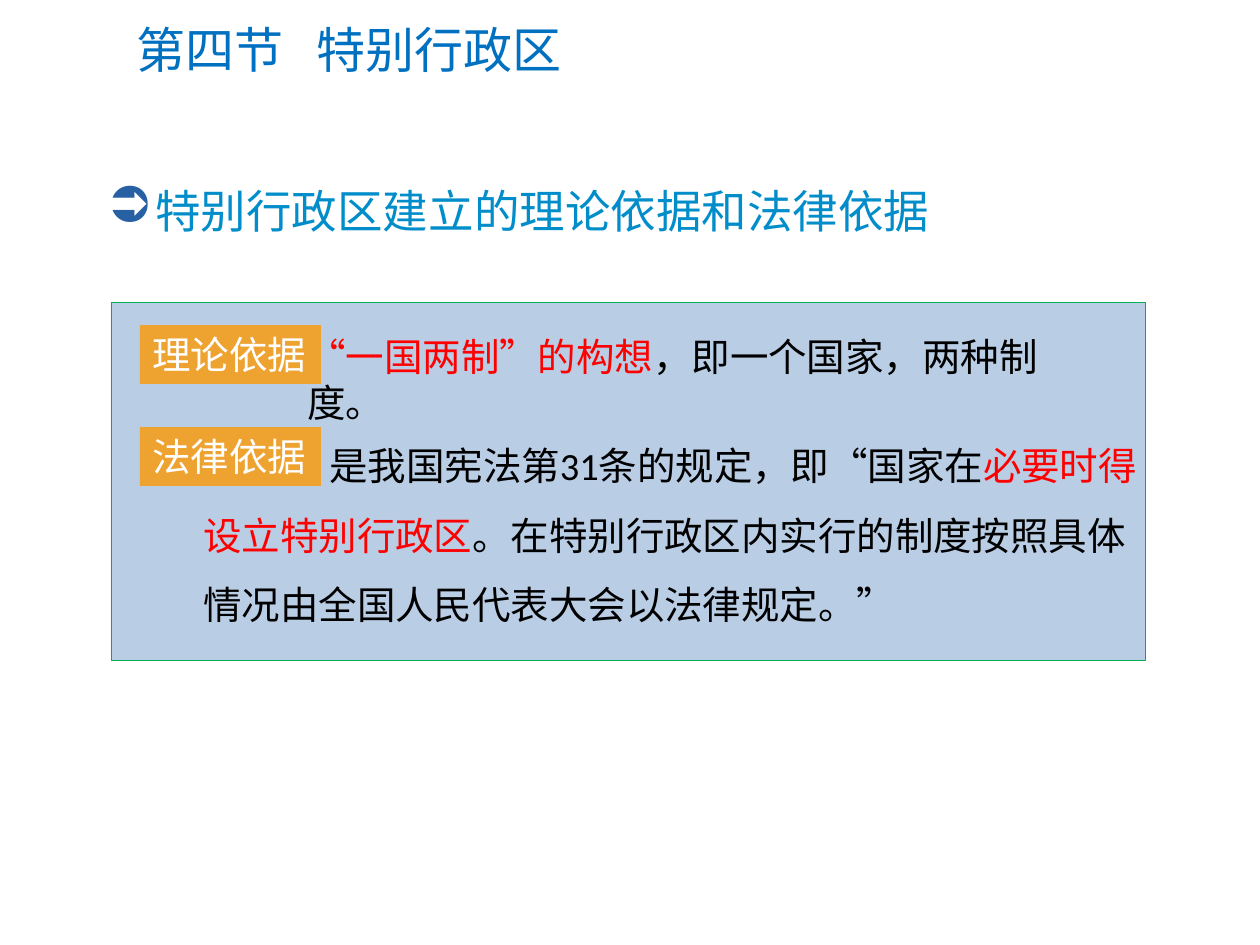
import pptx
import pptx.util
import pptx.dml.color
import pptx.enum.shapes
import pptx.enum.text
import pptx.oxml.ns
from lxml import etree

RGBColor = pptx.dml.color.RGBColor
TITLE_BLUE = RGBColor(0x00, 0x70, 0xC0)
HEADING_BLUE = RGBColor(0x00, 0x8D, 0xCA)
BULLET_BLUE = RGBColor(0x28, 0x60, 0xA4)
PANEL_BLUE = RGBColor(0xB9, 0xCD, 0xE5)
PANEL_GREEN = RGBColor(0x00, 0xB0, 0x50)
LABEL_ORANGE = RGBColor(0xEE, 0xA2, 0x30)
RED = RGBColor(0xFF, 0x00, 0x00)
BLACK = RGBColor(0x00, 0x00, 0x00)
WHITE = RGBColor(0xFF, 0xFF, 0xFF)

FONT = "Calibri"
PX_PER_INCH = 126
RECTANGLE = pptx.enum.shapes.MSO_SHAPE.RECTANGLE
LEFT = pptx.enum.text.PP_ALIGN.LEFT


def px(length):
    return pptx.util.Emu(round(length * 914400 / PX_PER_INCH))


def box_emu(box):
    return [px(length) for length in box]


def inside(box, left, top, width, height):
    """Box in EMU, placed relative to the corner of the outer box."""
    return box_emu((box[0] + left, box[1] + top, width, height))


def add_property(paragraph, tag, parent=None, **attributes):
    """Append a drawing element to the paragraph's properties."""
    if parent is None:
        parent = paragraph._p.get_or_add_pPr()
    return etree.SubElement(parent, pptx.oxml.ns.qn(tag), attributes)


def add_tab_stop(paragraph, position):
    tabs = add_property(paragraph, "a:tabLst")
    add_property(paragraph, "a:tab", tabs, pos=str(px(position)), algn="l")


def write_runs(paragraph, size, runs):
    paragraph.alignment = LEFT
    for text, color in runs:
        run = paragraph.add_run()
        run.text = text
        font_format = {"name": FONT, "size": pptx.util.Pt(size)}
        for attribute, value in font_format.items():
            setattr(run.font, attribute, value)
        run.font.color.rgb = color


def add_rectangle(shapes, box, fill):
    rectangle = shapes.add_shape(RECTANGLE, *box)
    rectangle.shadow.inherit = False
    rectangle.fill.solid()
    rectangle.fill.fore_color.rgb = fill
    rectangle.line.fill.background()
    return rectangle


def add_text(shapes, box, size, runs):
    frame = shapes.add_textbox(*box).text_frame
    frame.word_wrap = True
    paragraph = frame.paragraphs[0]
    write_runs(paragraph, size, runs)
    return paragraph


def add_label(shapes, box, text):
    label = add_rectangle(shapes, box, LABEL_ORANGE)
    frame = label.text_frame
    frame.word_wrap = False
    frame.vertical_anchor = pptx.enum.text.MSO_ANCHOR.TOP
    write_runs(frame.paragraphs[0], 22, [(text, WHITE)])


def fill_title(slide, box):
    title = slide.shapes.title
    title.left, title.top, title.width, title.height = box_emu(box)
    title.text_frame.vertical_anchor = pptx.enum.text.MSO_ANCHOR.MIDDLE
    paragraph = title.text_frame.paragraphs[0]
    add_tab_stop(paragraph, 180)
    write_runs(paragraph, 28, [("第四节\t特别行政区", TITLE_BLUE)])


def add_heading(slide, box):
    paragraph = add_text(slide.shapes, box_emu(box), 26,
                         [("特别行政区建立的理论依据和法律依据", HEADING_BLUE)])
    properties = paragraph._p.get_or_add_pPr()
    indent = px(48)
    properties.set("marL", str(indent))
    properties.set("indent", str(-indent))
    bullet_color = add_property(paragraph, "a:buClr")
    add_property(paragraph, "a:srgbClr", bullet_color, val=str(BULLET_BLUE))
    add_property(paragraph, "a:buSzPct", val="110000")
    # In Wingdings this letter is the circled arrow ➲
    add_property(paragraph, "a:buFont", typeface="Wingdings", charset="2")
    add_property(paragraph, "a:buChar", char="Ü")


def add_basis_panel(slide, box):
    shapes = slide.shapes.add_group_shape().shapes
    panel = add_rectangle(shapes, box_emu(box), PANEL_BLUE)
    panel.line.color.rgb = PANEL_GREEN
    panel.line.width = pptx.util.Pt(0.5)

    theory = add_text(shapes, inside(box, 184, 25, 820, 59), 22, [
        ("“一国两制”的构想", RED),
        ("，即一个国家，两种制度。", BLACK),
    ])
    theory._p.get_or_add_pPr().set("hangingPunct", "0")
    for row, text in enumerate(["理论依据", "法律依据"]):
        add_label(shapes, inside(box, 29, 23 + 102 * row, 181, 59), text)
    law = add_text(shapes, inside(box, 80, 111, 959, 223), 22, [
        ("\t是我国宪法第31条的规定，即“国家在", BLACK),
        ("必要时得设立特别行政区", RED),
        ("。在特别行政区内实行的制度按照具体情况由全国人民代表大会以法律规定。”", BLACK),
    ])
    add_tab_stop(law, 126)
    law.line_spacing = 1.5


def main():
    presentation = pptx.Presentation()
    presentation.slide_width = px(1260)
    presentation.slide_height = px(945)
    title_only = presentation.slide_layouts[5]
    slide = presentation.slides.add_slide(title_only)
    fill_title(slide, (124, 12, 1099, 73))
    add_basis_panel(slide, (111, 302, 1035, 358))
    add_heading(slide, (95, 177, 1051, 68))
    presentation.save("out.pptx")


if __name__ == "__main__":
    main()
